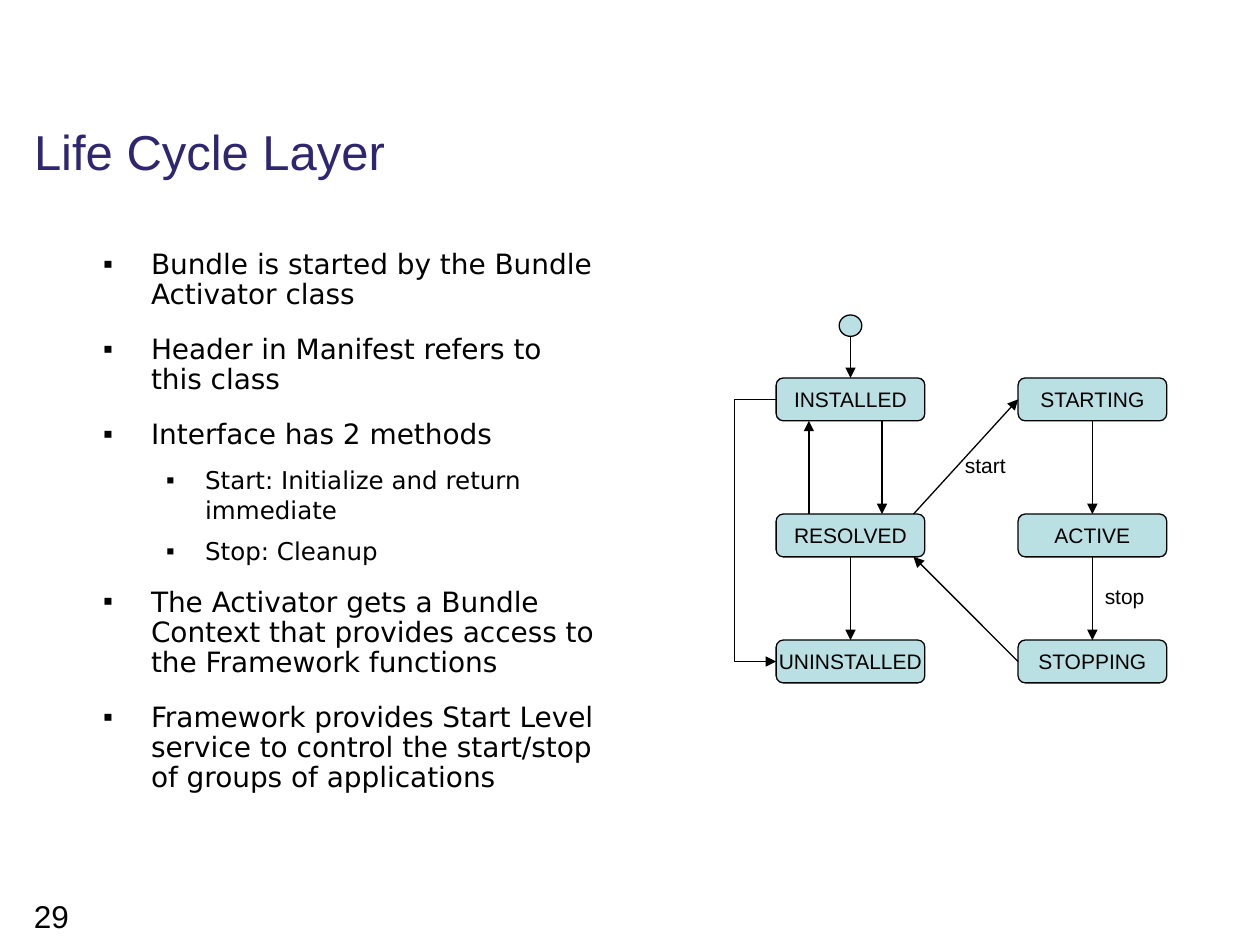
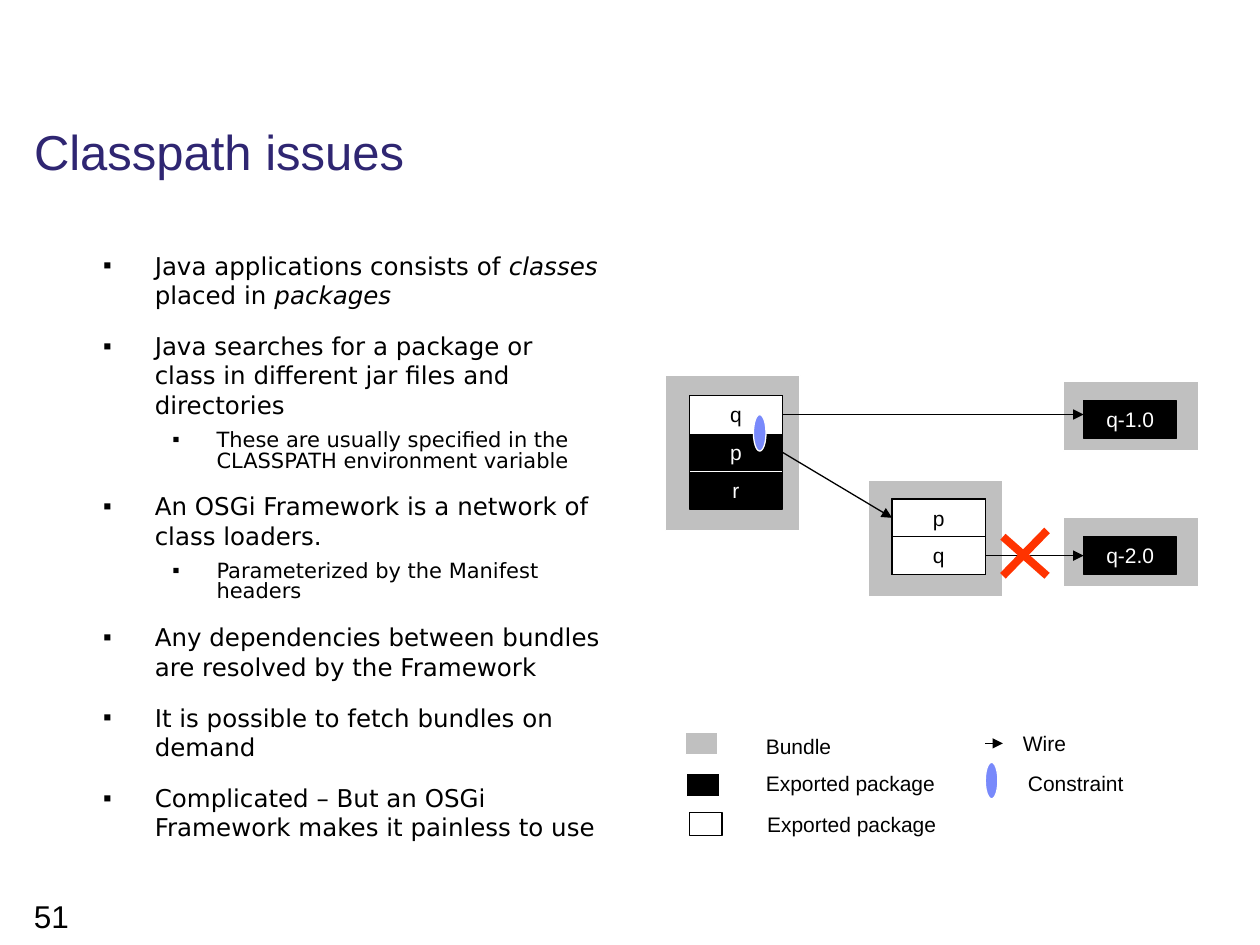
from dataclasses import dataclass

import lxml.etree
import pptx
import pptx.dml.color
import pptx.enum.shapes
import pptx.enum.text
import pptx.oxml.ns
import pptx.util

Inches = pptx.util.Inches
Pt = pptx.util.Pt
Kind = pptx.enum.shapes.MSO_SHAPE
Align = pptx.enum.text.PP_ALIGN
Anchor = pptx.enum.text.MSO_ANCHOR
qn = pptx.oxml.ns.qn

BLACK, WHITE, GREY = "000000", "FFFFFF", "C0C0C0"
NAVY, TEAL, BLUE, RED = "2F2672", "BBE0E3", "7889FB", "FF3300"
SANS, BODY = "Arial", "DejaVu Sans"
CELL_W, CELL_H = 0.74, 0.3
STATE_W, STATE_H = 1.18, 0.34


@dataclass
class Level:
    left: float
    hang: float
    size: float
    space: float
    before: float
    after: float


@dataclass
class Item:
    text: str
    level: int = 0


@dataclass
class State:
    name: str
    left: float
    top: float


@dataclass
class Cell:
    key: str
    text: str
    dark: bool


@dataclass
class Bundle:
    left: float
    top: float
    width: float
    height: float
    cell_x: float
    cell_y: float
    cells: list[Cell]


@dataclass
class Joint:
    shape: object
    side: int


@dataclass
class Swatch:
    kind: object
    left: float
    top: float
    width: float
    height: float
    fill: str
    line: str


@dataclass
class Label:
    text: str
    left: float
    top: float
    width: float


def color(code: str):
    return pptx.dml.color.RGBColor.from_string(code)


def box(left: float, top: float, width: float, height: float) -> list:
    return [Inches(v) for v in (left, top, width, height)]


def set_font(par, name: str, size: float, code: str) -> None:
    par.font.name = name
    par.font.size = Pt(size)
    par.font.color.rgb = color(code)


def set_line(shape, code: str, width: float = 0.75, arrow: bool = False) -> None:
    shape.line.color.rgb = color(code)
    shape.line.width = Pt(width)
    if arrow:
        line = shape.element.spPr.find(qn("a:ln"))
        lxml.etree.SubElement(line, qn("a:tailEnd"), type="triangle")


def add_text(slide, label: Label, height: float = 0.3, size: float = 12) -> None:
    frame = slide.shapes.add_textbox(
        *box(label.left, label.top, label.width, height)).text_frame
    frame.word_wrap = False
    frame.text = label.text
    set_font(frame.paragraphs[0], SANS, size, BLACK)


def add_shape(slide, kind, place: list, fill: str | None, line: str, text: str = "", ink: str = BLACK):
    shape = slide.shapes.add_shape(kind, *place)
    shape.shadow.inherit = False
    if fill:
        shape.fill.solid()
        shape.fill.fore_color.rgb = color(fill)
    else:
        shape.fill.background()
    set_line(shape, line)
    if text:
        frame = shape.text_frame
        frame.word_wrap = False
        frame.vertical_anchor = Anchor.MIDDLE
        frame.text = text
        frame.paragraphs[0].alignment = Align.CENTER
        set_font(frame.paragraphs[0], SANS, 12, ink)
    return shape


def add_link(slide, start, end, code: str = BLACK, width: float = 0.75, arrow: bool = True) -> None:
    first, last = [(0, 0) if isinstance(p, Joint) else p for p in (start, end)]
    link = slide.shapes.add_connector(
        pptx.enum.shapes.MSO_CONNECTOR.STRAIGHT, *[Inches(v) for v in first + last])
    if isinstance(start, Joint):
        link.begin_connect(start.shape, start.side)
    if isinstance(end, Joint):
        link.end_connect(end.shape, end.side)
    set_line(link, code, width, arrow)
    lxml.etree.SubElement(link.element.spPr, qn("a:effectLst"))


def add_bullet(par, level: Level) -> None:
    props = par._p.get_or_add_pPr()
    props.set("marL", str(Inches(level.left)))
    props.set("indent", str(-Inches(level.hang)))
    tint = lxml.etree.SubElement(props, qn("a:buClr"))
    lxml.etree.SubElement(tint, qn("a:srgbClr"), val=BLACK)
    lxml.etree.SubElement(props, qn("a:buFont"), typeface=SANS)
    lxml.etree.SubElement(props, qn("a:buChar"), char="▪")


def add_items(slide, items: list[Item], levels: list[Level]) -> None:
    frame = slide.shapes.add_textbox(*box(0.72, 1.94, 4.15, 4.93)).text_frame
    frame.word_wrap = True
    for num, item in enumerate(items):
        par = frame.add_paragraph() if num else frame.paragraphs[0]
        level = levels[item.level]
        par.level = item.level
        add_bullet(par, level)
        par.line_spacing = level.space
        par.space_before = Pt(level.before if num else 0)
        par.space_after = Pt(level.after)
        set_font(par, BODY, level.size, BLACK)
        for part, text in enumerate(item.text.split("*")):
            if text:
                run = par.add_run()
                run.text = text
                if part % 2:
                    run.font.italic = True


def add_slide(deck, title: str, page: str):
    slide = deck.slides.add_slide(deck.slide_layouts[5])
    head = slide.shapes.title
    head.left, head.top, head.width, head.height = box(0.17, 0.95, 9.02, 0.55)
    frame = head.text_frame
    frame.text = title
    frame.auto_size = pptx.enum.text.MSO_AUTO_SIZE.NONE
    frame.vertical_anchor = Anchor.MIDDLE
    par = frame.paragraphs[0]
    par.alignment = Align.LEFT
    par.line_spacing = 0.9
    set_font(par, SANS, 28, NAVY)
    add_text(slide, Label(page, 0.17, 7.07, 1.1), 0.35, 18)
    return slide


def draw_cycle(deck) -> None:
    slide = add_slide(deck, "Life Cycle Layer", "29")
    add_items(slide, [
        Item("Bundle is started by the Bundle Activator class"),
        Item("Header in Manifest refers to this class"),
        Item("Interface has 2 methods"),
        Item("Start: Initialize and return immediate", 1),
        Item("Stop: Cleanup", 1),
        Item("The Activator gets a Bundle Context that provides access to the Framework functions"),
        Item("Framework provides Start Level service to control the start/stop of groups of applications"),
    ], [Level(0.38, 0.38, 16, 0.9, 10, 4), Level(0.81, 0.31, 14, 1.0, 4.4, 2.6)])

    add_shape(slide, Kind.OVAL, box(6.66, 2.5, 0.18, 0.17), TEAL, BLACK)
    rows = (3, 4.08, 5.08)
    names = {6.16: ("INSTALLED", "RESOLVED", "UNINSTALLED"),
             8.08: ("STARTING", "ACTIVE", "STOPPING")}
    states = [State(name, left, top) for left, group in names.items()
              for name, top in zip(group, rows)]
    nodes = {s.name: add_shape(slide, Kind.FLOWCHART_ALTERNATE_PROCESS,
                               box(s.left, s.top, STATE_W, STATE_H), TEAL, BLACK, s.name)
             for s in states}

    add_link(slide, (6.75, 2.67), Joint(nodes["INSTALLED"], 0))
    add_link(slide, (6.42, 4.08), (6.42, 3.34))
    add_link(slide, (7, 3.34), (7, 4.08))
    for start, end in (("RESOLVED", "UNINSTALLED"), ("STARTING", "ACTIVE"), ("ACTIVE", "STOPPING")):
        add_link(slide, Joint(nodes[start], 2), Joint(nodes[end], 0))
    add_link(slide, Joint(nodes["STOPPING"], 1), (7.25, 4.42))
    add_link(slide, (7.25, 4.08), Joint(nodes["STARTING"], 1))

    bend = [(Inches(x), Inches(y)) for x, y in ((6.16, 3.17), (5.83, 3.17), (5.83, 5.25), (6.16, 5.25))]
    pen = slide.shapes.build_freeform(*bend[0])
    pen.add_line_segments(bend[1:], close=False)
    route = pen.convert_to_shape()
    route.shadow.inherit = False
    route.fill.background()
    set_line(route, BLACK, arrow=True)

    for label in (Label("start", 7.56, 3.54, 0.7), Label("stop", 8.67, 4.58, 0.7)):
        add_text(slide, label)


def add_bundle(slide, bundle: Bundle) -> dict:
    add_shape(slide, Kind.RECTANGLE,
              box(bundle.left, bundle.top, bundle.width, bundle.height), GREY, WHITE)
    nodes = {}
    for row, cell in enumerate(bundle.cells):
        fill, ink = (BLACK, WHITE) if cell.dark else (WHITE, BLACK)
        place = box(bundle.cell_x, bundle.cell_y + row * CELL_H, CELL_W, CELL_H)
        nodes[cell.key] = add_shape(slide, Kind.RECTANGLE, place, fill, ink, cell.text, ink)
    add_shape(slide, Kind.RECTANGLE,
              box(bundle.cell_x, bundle.cell_y, CELL_W, CELL_H * len(bundle.cells)), None, BLACK)
    return nodes


def draw_paths(deck) -> None:
    slide = add_slide(deck, "Classpath issues", "51")
    add_items(slide, [
        Item("Java applications consists of *classes* placed in *packages*"),
        Item("Java searches for a package or class in different jar files and directories"),
        Item("These are usually specified in the CLASSPATH environment variable", 1),
        Item("An OSGi Framework is a network of class loaders."),
        Item("Parameterized by the Manifest headers", 1),
        Item("Any dependencies between bundles are resolved by the Framework"),
        Item("It is possible to fetch bundles on demand"),
        Item("Complicated – But an OSGi Framework makes it painless to use"),
    ], [Level(0.41, 0.41, 14, 1.0, 8.8, 3.5), Level(0.9, 0.35, 12, 0.8, 3.7, 2.2)])

    nodes = {}
    for bundle in (
        Bundle(5.28, 2.98, 1.07, 1.23, 5.47, 3.14,
               [Cell("main q", "q", False), Cell("main p", "p", True), Cell("main r", "r", True)]),
        Bundle(6.89, 3.81, 1.07, 0.93, 7.08, 3.96,
               [Cell("mid p", "p", False), Cell("mid q", "q", False)]),
        Bundle(8.44, 3.03, 1.07, 0.55, 8.6, 3.18, [Cell("q1", "q-1.0", True)]),
        Bundle(8.44, 4.11, 1.07, 0.55, 8.6, 4.26, [Cell("q2", "q-2.0", True)]),
    ):
        nodes.update(add_bundle(slide, bundle))

    add_link(slide, Joint(nodes["main q"], 3), (8.6, 3.29))
    add_link(slide, Joint(nodes["mid q"], 3), Joint(nodes["q2"], 1))
    add_link(slide, Joint(nodes["main p"], 3), Joint(nodes["mid p"], 1))
    for start, end in (((8.31, 4.21), (7.96, 4.57)), ((7.96, 4.26), (8.31, 4.57))):
        add_link(slide, start, end, RED, 4.5, False)

    for mark in (
        Swatch(Kind.OVAL, 5.98, 3.29, 0.1, 0.29, BLUE, WHITE),
        Swatch(Kind.RECTANGLE, 5.44, 5.81, 0.26, 0.18, GREY, WHITE),
        Swatch(Kind.RECTANGLE, 5.45, 6.14, 0.26, 0.18, BLACK, WHITE),
        Swatch(Kind.RECTANGLE, 5.47, 6.45, 0.26, 0.18, WHITE, BLACK),
        Swatch(Kind.OVAL, 7.82, 6.05, 0.1, 0.29, BLUE, WHITE),
    ):
        add_shape(slide, mark.kind, box(mark.left, mark.top, mark.width, mark.height),
                  mark.fill, mark.line)
    add_link(slide, (7.82, 5.9), (7.96, 5.9))
    for label in (
        Label("Bundle", 5.98, 5.77, 0.8),
        Label("Exported package", 5.98, 6.07, 1.6),
        Label("Exported package", 5.99, 6.39, 1.6),
        Label("Wire", 8.02, 5.75, 0.7),
        Label("Constraint", 8.06, 6.07, 1.1),
    ):
        add_text(slide, label)


def main() -> None:
    deck = pptx.Presentation()
    deck.slide_width, deck.slide_height = Inches(10), Inches(7.5)
    draw_cycle(deck)
    draw_paths(deck)
    deck.save("out.pptx")


if __name__ == "__main__":
    main()
